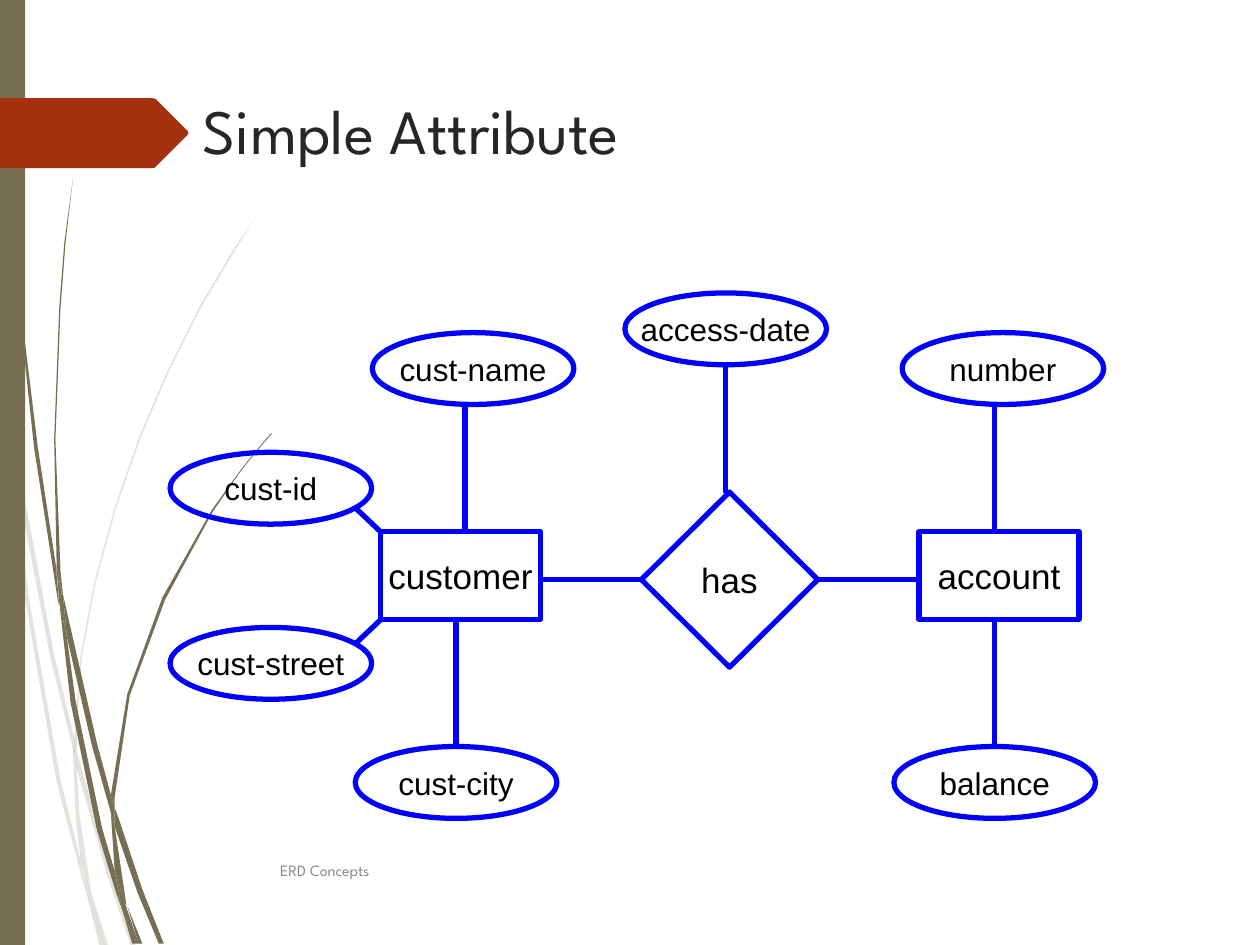
from dataclasses import dataclass
from typing import Optional

from lxml.etree import SubElement
from pptx import Presentation
from pptx.dml.color import RGBColor
from pptx.enum.shapes import MSO_CONNECTOR, MSO_SHAPE
from pptx.enum.text import MSO_ANCHOR, MSO_AUTO_SIZE, PP_ALIGN
from pptx.oxml.ns import qn
from pptx.util import Inches, Pt

COLUMNS, ROWS = 100, 75
SLIDE_WIDTH, SLIDE_HEIGHT = Inches(10), Inches(7.5)


@dataclass(frozen=True)
class Theme:
    olive: str = "766F54"
    badge: str = "A53010"
    title: str = "262626"
    footer: str = "898989"
    diagram_line: str = "0000FF"
    diagram_text: str = "000000"
    heading_font: str = "League Spartan"
    diagram_font: str = "Arial"
    title_size: int = 36
    entity_size: int = 20
    attribute_size: int = 18
    footer_size: int = 9
    line_width: int = 3
    pale_opacity: int = 20


THEME = Theme()


@dataclass(frozen=True)
class NodeStyle:
    preset: MSO_SHAPE
    width: float
    height: float
    text_size: int


ENTITY = NodeStyle(MSO_SHAPE.RECTANGLE, 12.7, 6.95, THEME.entity_size)
RELATIONSHIP = NodeStyle(MSO_SHAPE.DIAMOND, 14, 13.9, THEME.entity_size)
ATTRIBUTE = NodeStyle(MSO_SHAPE.OVAL, 16, 5.7, THEME.attribute_size)


@dataclass(frozen=True)
class Node:
    label: str
    style: NodeStyle
    left: float
    top: float


@dataclass(frozen=True)
class Link:
    """A line in grid units; the end may be joined to a side of a node."""
    start: tuple[float, float]
    end: tuple[float, float]
    target: Optional[str] = None
    side: int = 0


NODES = (
    Node("customer", ENTITY, 30.2, 42.2),
    Node("has", RELATIONSHIP, 50.9, 39.05),
    Node("cust-street", ATTRIBUTE, 13.5, 49.8),
    Node("cust-id", ATTRIBUTE, 13.5, 35.9),
    Node("cust-name", ATTRIBUTE, 29.55, 26.4),
    Node("cust-city", ATTRIBUTE, 28.2, 59.25),
    Node("account", ENTITY, 72.95, 42.2),
    Node("balance", ATTRIBUTE, 70.95, 59.25),
    Node("number", ATTRIBUTE, 71.6, 26.4),
    Node("access-date", ATTRIBUTE, 49.6, 23.25),
)

LINKS = (
    Link((42.9, 46), (50.9, 46), "has", 1),
    Link((72.9, 46), (64.9, 46), "has", 3),
    Link((36.9, 32.1), (36.9, 42.2)),
    Link((36.2, 49.2), (36.2, 59.3), "cust-city", 0),
    Link((28.2, 40.3), (30.2, 42.2)),
    Link((30.2, 49.2), (28.2, 51.1)),
    Link((78.95, 49.2), (78.95, 59.25), "balance", 0),
    Link((78.95, 32.1), (78.95, 42.2)),
    Link((57.6, 39.1), (57.6, 29)),
)

PALE_BLADES = (
    ((0.8, 35), (0.6, 32.2), (0, 28.2), (0, 29.9), (0.7, 34.4)),
    ((4, 52.2), (5.9, 59.9), (5.9, 58.6), (4.3, 52), (1, 34.5), (1.2, 37.6)),
    ((6.4, 60.7), (6.1, 59.6), (6.1, 61), (8.5, 69.4), (10.4, 75.1), (10.8, 75.1), (8.8, 69.2)),
    ((8.3, 75.1), (8.6, 75.1), (7.3, 71.1)),
    ((6.4, 68.3), (4.8, 61.9), (2.2, 46.9), (1.2, 37.6), (0.8, 35), (1.9, 47), (4.5, 62.1),
     (6.4, 69.3), (7, 71.4), (6.9, 70.7)),
    ((5.8, 59.9), (6, 64.6), (6.4, 68.3), (6.7, 69.2), (7.3, 71.1), (7.2, 70.6), (6.3, 64.6),
     (6.1, 61), (6.1, 60.8)),
    ((6.1, 58.4), (6.5, 52.1), (7.6, 46.2), (9.2, 40.4), (11.1, 34.9), (13.4, 29.5),
     (15.9, 24.5), (18.7, 19.8), (20.1, 17.5), (21.7, 15.3), (20.1, 17.5), (18.6, 19.7),
     (15.8, 24.4), (13.3, 29.4), (11, 34.8), (9.1, 40.3), (7.5, 46.1), (6.4, 52),
     (5.9, 58.4), (5.9, 58.6), (6.1, 59.6)),
    ((7, 71.4), (7.9, 75.1), (8.2, 75.1)),
    ((6.1, 60.8), (6.1, 61), (6.1, 59.6), (5.9, 58.6), (5.8, 59.9)),
    ((6.7, 69.2), (6.5, 68.3), (6.9, 70.7), (7, 71.4), (8.2, 75.1), (8.3, 75.1), (7.3, 71.1)),
)

DARK_BLADES = (
    ((0.5, 11), (1.4, 23.3), (2.7, 35.5), (4.6, 47.7), (4.7, 48.1), (4.5, 45.7), (4.5, 45.3),
     (3, 35.5), (1.5, 23.2), (0.6, 10.9), (0.4, 4.8), (0.3, 0), (0.2, 0), (0.3, 4.8)),
    ((7.3, 59.2), (8.8, 64.5), (8.8, 63.3), (8.8, 63.1), (7.7, 59), (5, 47.2), (5.3, 50.5)),
    ((9.4, 64.9), (9.1, 64.1), (9.1, 65.6), (10.9, 70.8), (12.6, 74.9), (13, 74.9), (11.3, 70.6)),
    ((9.1, 69.1), (8.1, 65.7), (6, 55.6), (5.3, 50.5), (4.7, 47.7), (5.6, 55.7), (7.7, 65.9),
     (9.2, 70.8), (9.7, 72.2), (9.6, 71.7)),
    ((5, 47.2), (4.8, 45.3), (4.4, 34.9), (4.8, 24.5), (5.2, 19.3), (5.8, 14.1), (5.1, 19.3),
     (4.7, 24.5), (4.3, 34.9), (4.5, 44.9), (4.9, 47.1)),
    ((11, 74.9), (11.3, 74.9), (10.1, 71.9)),
    ((4.7, 47.7), (5.3, 50.5), (5, 47.2), (4.9, 47.2), (4.5, 44.9), (4.5, 45.3)),
    ((9.1, 63.3), (10.3, 55.2), (13.1, 47.6), (16.9, 40.6), (19.1, 37.4), (20.3, 35.9),
     (21.6, 34.4), (21.5, 34.4), (20.3, 35.8), (19.1, 37.3), (16.8, 40.5), (12.9, 47.4),
     (10.1, 55.1), (8.8, 63.1), (9.1, 64.1)),
    ((9.7, 72.2), (10.5, 74.9), (10.8, 74.9)),
    ((8.8, 64.5), (9.1, 69.1), (9.6, 70.6), (10, 71.9), (10, 71.6), (9.1, 65.6), (9, 65.1)),
    ((8.8, 64.5), (9, 65.1), (9.1, 65.6), (9.1, 64.1), (8.8, 63.1), (8.8, 63.3)),
    ((9.6, 70.6), (9.1, 69.1), (9.6, 71.7), (9.7, 72.2), (10.8, 74.9), (11, 74.9), (10, 71.9)),
)

BADGE_OUTLINE = ((14.9, 10.7), (12.4, 13.2), (12.3, 13.3), (12.1, 13.35), (0, 13.35), (0, 7.8),
                 (12.1, 7.8), (12.3, 7.83), (12.4, 7.9), (14.9, 10.4), (14.95, 10.55))


def column(count: float) -> int:
    return round(SLIDE_WIDTH * count / COLUMNS)


def row(count: float) -> int:
    return round(SLIDE_HEIGHT * count / ROWS)


def format_text(frame, text, format_values, color, alignment, anchor) -> None:
    frame.auto_size = MSO_AUTO_SIZE.NONE
    frame.vertical_anchor = anchor
    frame.text = text
    paragraph = frame.paragraphs[0]
    paragraph.alignment = alignment
    font = paragraph.runs[0].font
    for name, value in format_values.items():
        setattr(font, name, value)
    font.color.rgb = RGBColor.from_string(color)


def paint(shape, color: str, opacity: int = 100) -> None:
    shape.shadow.inherit = False
    shape.fill.solid()
    shape.fill.fore_color.rgb = RGBColor.from_string(color)
    shape.line.fill.background()
    if opacity < 100:
        color_element = shape._element.spPr.find(qn("a:solidFill"))[0]
        SubElement(color_element, qn("a:alpha"), val=str(opacity * 1000))


def outline(line) -> None:
    line.color.rgb = RGBColor.from_string(THEME.diagram_line)
    line.width = Pt(THEME.line_width)


def draw_outline(slide, points, color: str, opacity: int = 100) -> None:
    corners = [(column(x), row(y)) for x, y in points]
    builder = slide.shapes.build_freeform(*corners[0])
    builder.add_line_segments(corners[1:], close=True)
    paint(builder.convert_to_shape(), color, opacity)


def draw_node(slide, node: Node):
    style = node.style
    shape = slide.shapes.add_shape(style.preset, column(node.left), row(node.top),
                                   column(style.width), row(style.height))
    shape.shadow.inherit = False
    shape.fill.background()
    outline(shape.line)
    format_text(shape.text_frame, node.label,
                {"name": THEME.diagram_font, "size": Pt(style.text_size)},
                THEME.diagram_text, PP_ALIGN.CENTER, MSO_ANCHOR.MIDDLE)
    shape.text_frame.word_wrap = False
    return shape


def draw_link(slide, link: Link, shapes: dict) -> None:
    (x1, y1), (x2, y2) = link.start, link.end
    connector = slide.shapes.add_connector(MSO_CONNECTOR.STRAIGHT, column(x1), row(y1),
                                           column(x2), row(y2))
    if link.target:
        connector.end_connect(shapes[link.target], link.side)
    outline(connector.line)
    SubElement(connector._element.spPr, qn("a:effectLst"))


def draw_background(slide) -> None:
    for blades, opacity in ((PALE_BLADES, THEME.pale_opacity), (DARK_BLADES, 100)):
        for blade in blades:
            draw_outline(slide, blade, THEME.olive, opacity)
    bar = slide.shapes.add_shape(MSO_SHAPE.RECTANGLE, 0, 0, column(2), SLIDE_HEIGHT)
    paint(bar, THEME.olive)
    draw_outline(slide, BADGE_OUTLINE, THEME.badge)


def draw_headings(slide) -> None:
    title = slide.shapes.title
    place = {"left": column(15.1), "top": row(6.8), "width": column(78.3), "height": row(8.2)}
    for name, value in place.items():
        setattr(title, name, value)
    footer = slide.shapes.add_textbox(column(21.25), row(67.1), column(62.5), row(4))
    for shape, text, size, color, anchor in (
            (title, "Simple Attribute", THEME.title_size, THEME.title, MSO_ANCHOR.TOP),
            (footer, "ERD Concepts", THEME.footer_size, THEME.footer, MSO_ANCHOR.MIDDLE)):
        format_text(shape.text_frame, text, {"name": THEME.heading_font, "size": Pt(size)},
                    color, PP_ALIGN.LEFT, anchor)
        shape.text_frame.word_wrap = True


def main() -> None:
    presentation = Presentation()
    presentation.slide_width, presentation.slide_height = SLIDE_WIDTH, SLIDE_HEIGHT
    slide = presentation.slides.add_slide(presentation.slide_layouts.get_by_name("Title Only"))
    draw_background(slide)
    draw_headings(slide)
    shapes = {node.label: draw_node(slide, node) for node in NODES}
    for link in LINKS:
        draw_link(slide, link, shapes)
    presentation.save("out.pptx")


if __name__ == "__main__":
    main()
